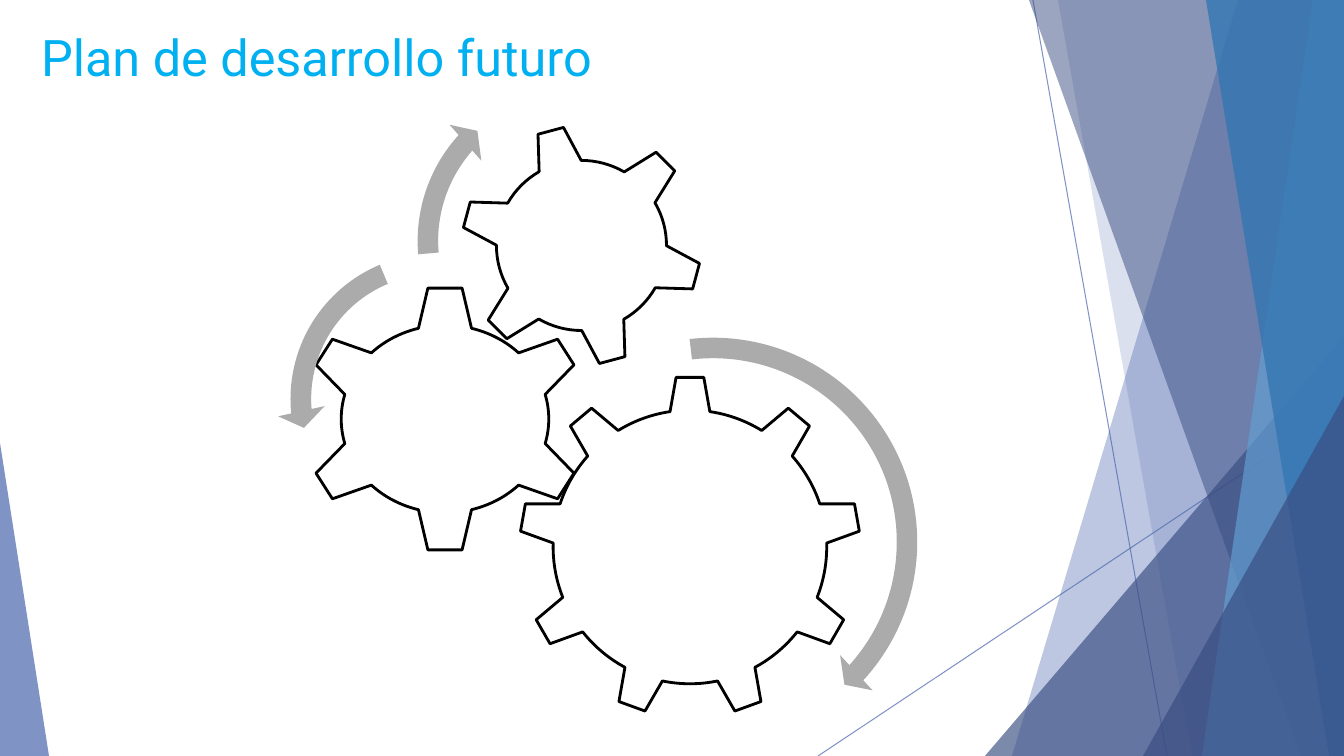
import pptx
import pptx.util
import pptx.dml.color
import pptx.enum.shapes
import pptx.enum.text
import pptx.oxml
import pptx.oxml.ns

SHAPE = pptx.enum.shapes.MSO_SHAPE
SLIDE_W, SLIDE_H = 1344, 756
PX = 12192000 / SLIDE_W

TITLE = "Plan de desarrollo futuro"
TITLE_BOX = (31, 18, 948, 145)

RAYS = [((1033, 0), (1167, 756)), ((1344, 406), (818, 756))]
RAY_STYLE = ("4A66AC", 70)

BANDS = [
    (1238, 1012, "4A66AC", 36),
    (1058, 1192, "4A66AC", 20),
    ((985, 336, 359, 420), 1, "384C81", 66),
    (1029, 1301, "384C81", 50),
    (1313, 1202, "629DD1", 70),
    (1206, 1329, "3477B2", 80),
    ((1143, 396, 201, 360), 1, "384C81", 66),
    ((0, 443, 49, 313), 0, "4A66AC", 70),
]

GEARS = [
    (SHAPE.GEAR_9, (519, 376, 342, 342), 0),
    (SHAPE.GEAR_6, (301, 285, 288, 268), 0),
    (SHAPE.GEAR_6, (460, 124, 243, 243), 345),
]

ARROWS = [
    (SHAPE.CIRCULAR_ARROW, (495, 324, 436, 436), (0.047, 2.99, 25.42, 158.06, 0.055)),
    (SHAPE.LEFT_CIRCULAR_ARROW, (277, 240, 318, 318), (0.065, 4.3, 104.89, 148.38, 0.075)),
    (SHAPE.CIRCULAR_ARROW, (404, 70, 342, 342), (0.06, 3.94, 133.14, 105.08, 0.07)),
]


def emu(*lengths):
    return [round(n * PX) for n in lengths]


def rgb(value):
    return pptx.dml.color.RGBColor.from_string(value)


def paint(fill, color, opacity=100):
    fill.solid()
    fill.fore_color.rgb = rgb(color)
    if opacity < 100:
        clr = fill._xPr.find(".//" + pptx.oxml.ns.qn("a:srgbClr"))
        alpha = pptx.oxml.parse_xml(
            f'<a:alpha {pptx.oxml.ns.nsdecls("a")} val="{opacity * 1000}"/>')
        clr.append(alpha)


def finish(sp, color, opacity=100):
    sp.shadow.inherit = False
    paint(sp.fill, color, opacity)
    sp.line.fill.background()


def add_title(s):
    sp = s.shapes.title
    sp.left, sp.top, sp.width, sp.height = emu(*TITLE_BOX)
    tf = sp.text_frame
    tf.text = TITLE
    tf.word_wrap = True
    tf.auto_size = pptx.enum.text.MSO_AUTO_SIZE.NONE
    tf.vertical_anchor = pptx.enum.text.MSO_ANCHOR.TOP
    tf.margin_top = emu(8)[0]
    p = tf.paragraphs[0]
    p.alignment = pptx.enum.text.PP_ALIGN.LEFT
    r = p.runs[0]
    r.font.name = "Roboto"
    r.font.size = pptx.util.Pt(36)
    r.font.color.rgb = rgb("00B0F0")


def add_ray(s, start, end):
    sp = s.shapes.add_connector(
        pptx.enum.shapes.MSO_CONNECTOR.STRAIGHT, *emu(*start, *end))
    sp.line.width = pptx.util.Pt(0.75)
    paint(sp.line.fill, *RAY_STYLE)
    sp._element.spPr.append(pptx.oxml.parse_xml(
        f'<a:effectLst {pptx.oxml.ns.nsdecls("a")}/>'))


def add_band(s, top_x, bottom_x, color, opacity):
    fb = s.shapes.build_freeform(top_x, 0, scale=PX)
    fb.add_line_segments([(SLIDE_W, 0), (SLIDE_W, SLIDE_H), (bottom_x, SLIDE_H)])
    finish(fb.convert_to_shape(), color, opacity)


def add_triangle(s, box, apex, color, opacity):
    sp = s.shapes.add_shape(SHAPE.ISOSCELES_TRIANGLE, *emu(*box))
    sp.adjustments[0] = apex
    finish(sp, color, opacity)


def main():
    prs = pptx.Presentation()
    prs.slide_width, prs.slide_height = emu(SLIDE_W, SLIDE_H)
    s = prs.slides.add_slide(prs.slide_layouts[5])
    add_title(s)
    for start, end in RAYS:
        add_ray(s, start, end)
    for band in BANDS:
        draw = add_triangle if isinstance(band[0], tuple) else add_band
        draw(s, *band)
    for kind, box, angle in GEARS:
        sp = s.shapes.add_shape(kind, *emu(*box))
        finish(sp, "FFFFFF")
        sp.rotation = angle
        paint(sp.line.fill, "000000")
        sp.line.width = pptx.util.Pt(2)
    for kind, box, adjustments in ARROWS:
        sp = s.shapes.add_shape(kind, *emu(*box))
        for i, value in enumerate(adjustments):
            sp.adjustments[i] = value
        finish(sp, "ABABAB")
    prs.save("out.pptx")


if __name__ == "__main__":
    main()
